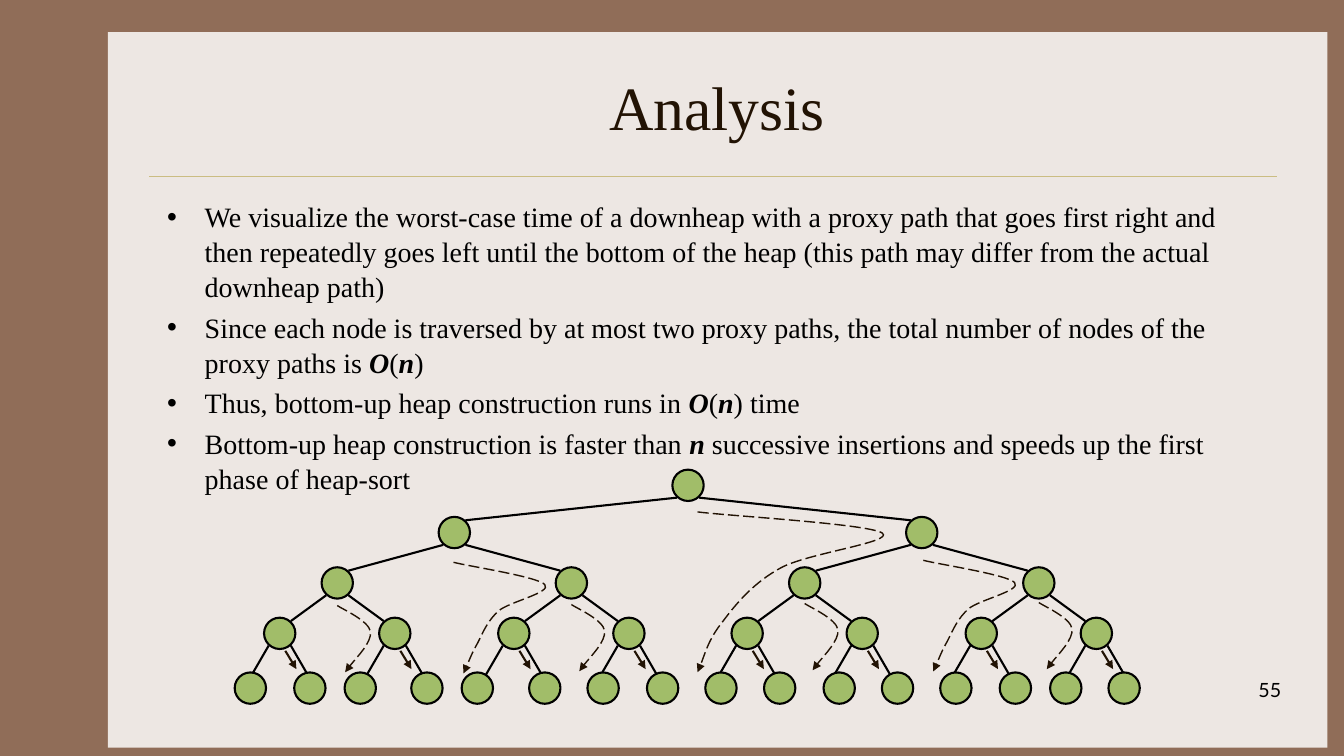
from dataclasses import dataclass
from itertools import product

from lxml.etree import SubElement
from pptx import Presentation
from pptx.dml.color import RGBColor
from pptx.enum.dml import MSO_LINE
from pptx.enum.shapes import MSO_CONNECTOR, MSO_SHAPE
from pptx.enum.text import MSO_ANCHOR, PP_ALIGN
from pptx.oxml.ns import qn
from pptx.util import Cm, Pt


@dataclass(frozen=True)
class Theme:
    back: str = "906D58"
    panel: str = "EDE7E3"
    rule: str = "CBBD83"
    dark: str = "221304"
    black: str = "000000"
    node: str = "A1BD69"
    serif: str = "Times New Roman"
    sans: str = "Lato"
    head: int = 44
    body: int = 20
    foot: int = 14


THEME = Theme()

# Words between asterisks are bold italic
POINTS = [
    "We visualize the worst-case time of a downheap with a proxy path that goes first "
    "right and then repeatedly goes left until the bottom of the heap (this path may "
    "differ from the actual downheap path)",
    "Since each node is traversed by at most two proxy paths, the total number of nodes "
    "of the proxy paths is *O*(*n*)",
    "Thus, bottom-up heap construction runs in *O*(*n*) time",
    "Bottom-up heap construction is faster than *n* successive insertions and speeds up "
    "the first phase of heap-sort",
]

# Tree layout in centimetres
ROOT = 17.34
SPREADS = [5.89, 2.95, 1.45]
ROWS = [12.23, 13.42, 14.69, 15.96, 17.34]
LEAVES = [6.31, 7.81, 9.08, 10.76, 12.03, 13.73, 15.2, 16.7,
          18.17, 19.65, 21.15, 22.62, 24.09, 25.59, 26.86, 28.33]
SIZE = 0.79
SIDE, DROP = 0.28, 0.31

# Proxy paths: Bezier points as offsets from the start
LONG = [(0.76, 0.1), (4.29, 0.3), (4.65, 0.53), (5, 0.76), (2.74, 1.04), (2.08, 1.42),
        (1.42, 1.78), (0.97, 2.31), (0.63, 2.77), (0.28, 3.2), (0.13, 3.76), (0, 4.04)]
MID = [(0.38, 0.1), (2.11, 0.36), (2.3, 0.56), (2.49, 0.76), (1.42, 0.99), (1.14, 1.22),
       (0.86, 1.47), (0.75, 1.75), (0.61, 2.03), (0.46, 2.29), (0.33, 2.64), (0.25, 2.8)]
SHORT = [(0.15, 0.1), (0.79, 0.38), (0.84, 0.66), (0.86, 0.94), (0.33, 1.47), (0.2, 1.68)]


def apply(item, form):
    for name, value in form.items():
        setattr(item, name, value)


def paint(fill, tint):
    fill.solid()
    fill.fore_color.rgb = RGBColor.from_string(tint)


def stroke(shape, tint, width, dash=False, arrow=False):
    paint(shape.line.fill, tint)
    shape.line.width = Pt(width)
    if dash:
        shape.line.dash_style = MSO_LINE.LONG_DASH
    if arrow:
        line = shape._element.spPr.find(qn("a:ln"))
        SubElement(line, qn("a:tailEnd"), type="triangle")


def add_block(slide, kind, box, tint):
    shape = slide.shapes.add_shape(kind, *map(Cm, box))
    shape.shadow.inherit = False
    paint(shape.fill, tint)
    shape.line.fill.background()
    return shape


def add_node(slide, x, y):
    box = (x - SIZE / 2, y - SIZE / 2, SIZE, SIZE)
    stroke(add_block(slide, MSO_SHAPE.OVAL, box, THEME.node), THEME.black, 1.5)


def add_line(slide, ends, tint, width, **style):
    line = slide.shapes.add_connector(MSO_CONNECTOR.STRAIGHT, *map(Cm, ends))
    stroke(line, tint, width, **style)
    SubElement(line._element.spPr, qn("a:effectLst"))


def add_curve(slide, x, y, steps):
    pen = slide.shapes.build_freeform(Cm(x), Cm(y))
    pen.add_line_segments([(Cm(x + dx), Cm(y + dy)) for dx, dy in steps], close=False)
    shape = pen.convert_to_shape()
    # Join each three points into one cubic segment
    parts = list(shape._element.iter(qn("a:lnTo")))
    route = parts[0].getparent()
    for start in range(0, len(parts), 3):
        cubic = SubElement(route, qn("a:cubicBezTo"))
        for part in parts[start:start + 3]:
            cubic.append(part[0])
            route.remove(part)
    shape.shadow.inherit = False
    shape.fill.background()
    stroke(shape, THEME.dark, 1, dash=True, arrow=True)


def add_text(slide, box, lines, font, tint, frame=None, para=None, dot=False):
    text = slide.shapes.add_textbox(*map(Cm, box)).text_frame
    apply(text, {"word_wrap": True, **(frame or {})})
    for index, line in enumerate(lines):
        item = text.paragraphs[0] if index == 0 else text.add_paragraph()
        apply(item, para or {})
        if index:
            item.space_before = Pt(4)
        if dot:
            props = item._p.get_or_add_pPr()
            apply_indent = {"marL": str(Cm(0.95)), "indent": str(-Cm(0.95))}
            props.attrib.update(apply_indent)
            SubElement(props, qn("a:buFont"), typeface="Arial")
            SubElement(props, qn("a:buChar"), char="•")
        for place, piece in enumerate(line.split("*")):
            run = item.add_run()
            run.text = piece
            strong = place % 2 == 1
            apply(run.font, {**font, "bold": strong, "italic": strong})
            run.font.color.rgb = RGBColor.from_string(tint)


def add_tree(slide):
    tiers = [[ROOT]]
    for spread in SPREADS:
        tiers.append([x + side * spread for x in tiers[-1] for side in (-1, 1)])

    # Edges
    for tier, y, below, spread in zip(tiers, ROWS, ROWS[1:], SPREADS + [1]):
        for x, side in product(tier, (-1, 1)):
            ends = (x + side * SIDE, y + DROP, x + side * (spread - SIDE), below - DROP)
            add_line(slide, ends, THEME.black, 1.5)

    # Inner nodes
    for tier, y in zip(tiers, ROWS):
        for x in tier:
            add_node(slide, x, y)

    # Proxy paths
    add_curve(slide, 17.58, 12.9, LONG)
    add_curve(slide, 23.27, 14.12, MID)
    add_curve(slide, 11.43, 14.17, MID)
    for index, x in enumerate(tiers[2]):
        add_curve(slide, x, ROWS[2] + 0.57 - 0.025 * index, SHORT)
    for x in tiers[3]:
        ends = (x + 0.14, ROWS[3] + 0.44, x + 0.42, ROWS[3] + 0.9)
        add_line(slide, ends, THEME.dark, 1.5, dash=True, arrow=True)

    # Leaves
    for x in LEAVES:
        add_node(slide, x, ROWS[4])


def main():
    deck = Presentation()
    apply(deck, {"slide_width": Cm(33.87), "slide_height": Cm(19.05)})
    slide = deck.slides.add_slide(deck.slide_layouts[6])

    # Ground, panel and rule
    paint(slide.background.fill, THEME.back)
    add_block(slide, MSO_SHAPE.RECTANGLE, (2.72, 0.81, 30.73, 18.03), THEME.panel)
    add_line(slide, (3.76, 4.45, 32.18, 4.45), THEME.rule, 0.25)

    # Title, bullets and page number
    add_text(slide, (3.96, 1.07, 28.22, 3.18), ["Analysis"],
             {"name": THEME.serif, "size": Pt(THEME.head)}, THEME.dark,
             {"vertical_anchor": MSO_ANCHOR.MIDDLE}, {"alignment": PP_ALIGN.CENTER})
    add_text(slide, (3.96, 4.88, 28.22, 11.43), POINTS,
             {"name": THEME.serif, "size": Pt(THEME.body)}, THEME.black,
             para={"line_spacing": 1.04}, dot=True)
    add_text(slide, (25.48, 16.97, 7.06, 1.27), ["55"],
             {"name": THEME.sans, "size": Pt(THEME.foot)}, THEME.black,
             para={"alignment": PP_ALIGN.RIGHT})

    add_tree(slide)
    deck.save("out.pptx")


if __name__ == "__main__":
    main()
